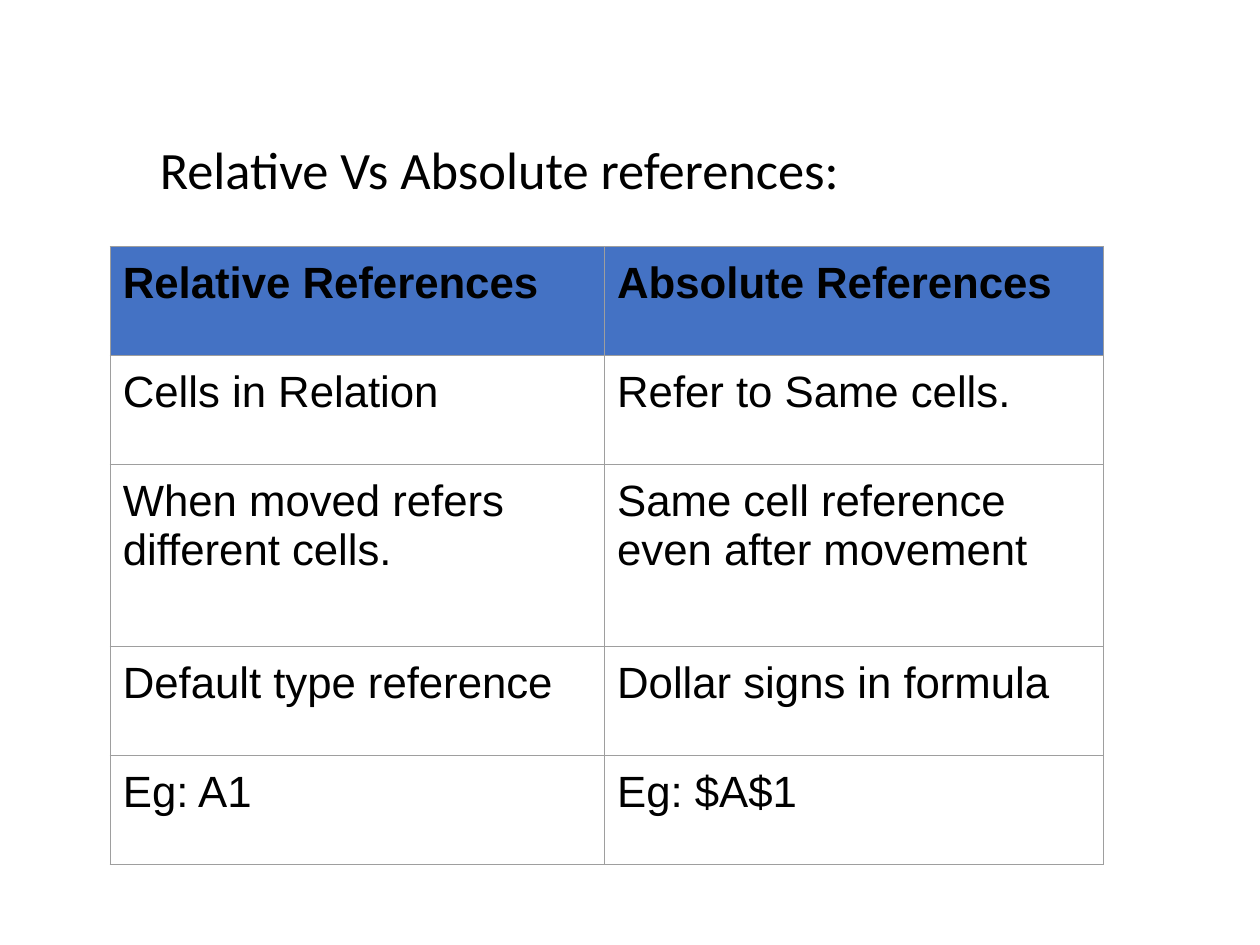
import dataclasses

import lxml.etree
import pptx
import pptx.dml.color
import pptx.enum.text
import pptx.oxml.ns
import pptx.util


@dataclasses.dataclass(frozen=True)
class Theme:
    text: str = "000000"
    header: str = "4472C4"
    border: str = "9E9E9E"
    title_font: str = "Calibri"
    table_font: str = "Arial"
    title_size: float = 30
    table_size: float = 25
    border_width: float = 0.75
    inset: float = 7.2


class SlideBuilder:
    """Draws styled elements on the current slide."""

    def __init__(self, slide, theme):
        self.slide = slide
        self.theme = theme

    def color(self, value):
        return pptx.dml.color.RGBColor.from_string(value)

    def set_insets(self, target):
        for side in ("left", "top", "right", "bottom"):
            setattr(target, f"margin_{side}", pptx.util.Pt(self.theme.inset))

    def add_text(self, frame, text, name, size, bold=False):
        para = frame.paragraphs[0]
        span = para.add_run()
        span.text = text
        formats = {"name": name, "size": pptx.util.Pt(size), "bold": bold}
        for attribute, value in formats.items():
            setattr(span.font, attribute, value)
        span.font.color.rgb = self.color(self.theme.text)

    def title(self, text, left, top, width, height):
        box = self.slide.shapes.add_textbox(*map(pptx.util.Pt, (left, top, width, height)))
        frame = box.text_frame
        frame.word_wrap = True
        frame.auto_size = pptx.enum.text.MSO_AUTO_SIZE.SHAPE_TO_FIT_TEXT
        self.set_insets(frame)
        self.add_text(frame, text, self.theme.title_font, self.theme.title_size)

    def border(self, cell):
        qualify = pptx.oxml.ns.qn
        properties = cell._tc.get_or_add_tcPr()
        width = str(int(pptx.util.Pt(self.theme.border_width)))
        for side in ("lnL", "lnR", "lnT", "lnB"):
            line = lxml.etree.SubElement(properties, qualify(f"a:{side}"), w=width)
            fill = lxml.etree.SubElement(line, qualify("a:solidFill"))
            lxml.etree.SubElement(fill, qualify("a:srgbClr"), val=self.theme.border)

    def table(self, rows, left, top, widths, heights):
        bounds = (left, top, sum(widths), sum(heights))
        shape = self.slide.shapes.add_table(len(rows), len(widths), *map(pptx.util.Pt, bounds))
        table = shape.table
        table.horz_banding = False
        for column, width in zip(table.columns, widths):
            column.width = pptx.util.Pt(width)
        for row, height in zip(table.rows, heights):
            row.height = pptx.util.Pt(height)
        for row_index, texts in enumerate(rows):
            is_header = row_index == 0
            for column_index, text in enumerate(texts):
                cell = table.cell(row_index, column_index)
                self.set_insets(cell)
                self.border(cell)
                if is_header:
                    cell.fill.solid()
                    cell.fill.fore_color.rgb = self.color(self.theme.header)
                else:
                    cell.fill.background()
                self.add_text(cell.text_frame, text, self.theme.table_font,
                              self.theme.table_size, is_header)


def main():
    deck = pptx.Presentation()
    deck.slide_width = pptx.util.Pt(720)
    deck.slide_height = pptx.util.Pt(540)
    page = SlideBuilder(deck.slides.add_slide(deck.slide_layouts[6]), Theme())
    page.title("Relative Vs Absolute references:", 84.24, 71.28, 712.8, 51.12)
    comparison = [
        ("Relative References", "Absolute References"),
        ("Cells in Relation", "Refer to Same cells."),
        ("When moved refers different cells.", "Same cell reference even after movement"),
        ("Default type reference", "Dollar signs in formula"),
        ("Eg: A1", "Eg: $A$1"),
    ]
    single, double = 62.25, 104
    page.table(comparison, 63, 141, (282.5, 285), (single, single, double, single, single))
    deck.save("out.pptx")


if __name__ == "__main__":
    main()
